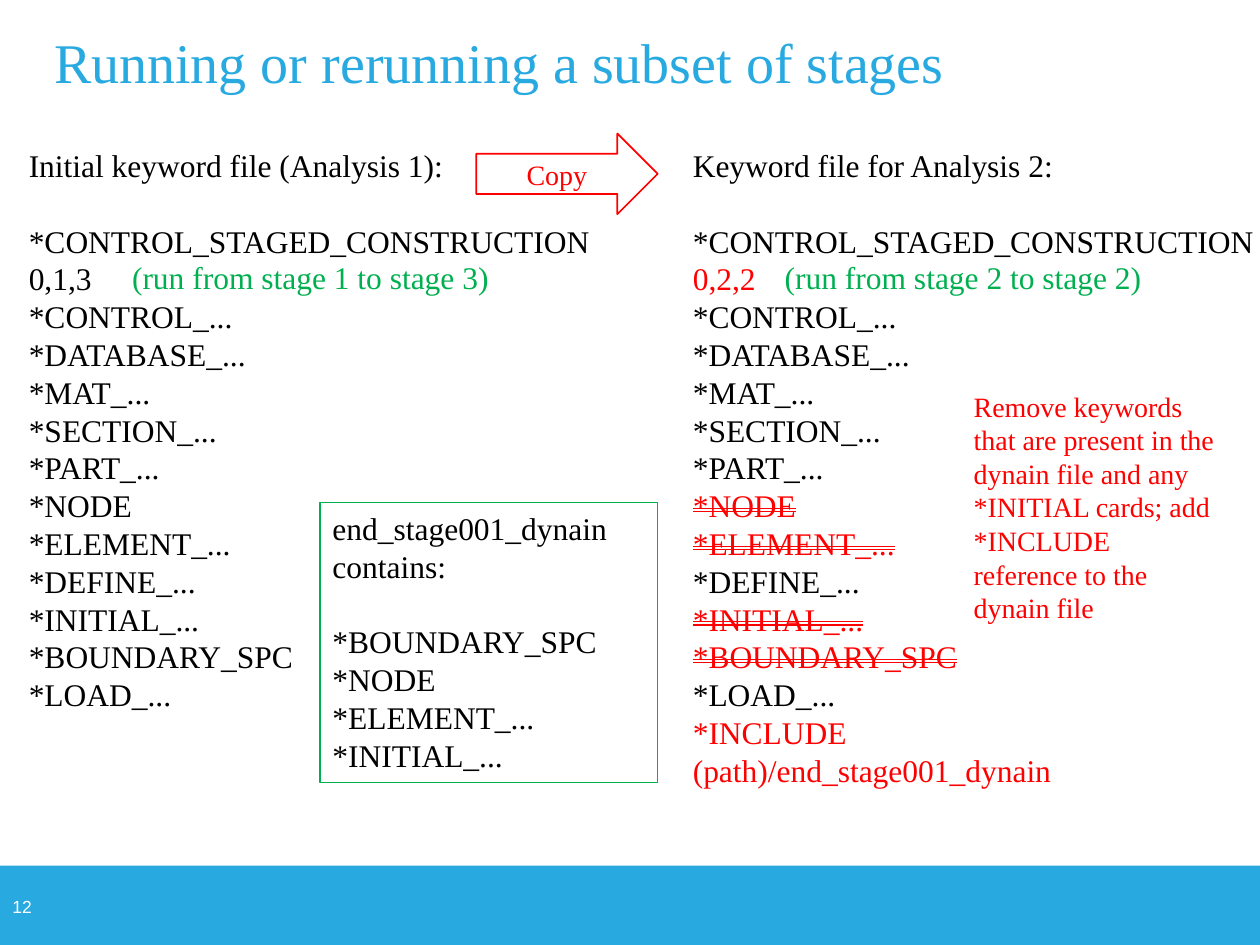
from pptx import Presentation, util as u
from pptx.dml.color import RGBColor
from pptx.enum import shapes, text

# Content: plain, red ("new") and struck ("cut") lines
TITLE = "Running or rerunning a subset of stages"
PAGE = "12"
CARDS = ["*CONTROL_...", "*DATABASE_...", "*MAT_...", "*SECTION_...", "*PART_...",
         "*NODE", "*ELEMENT_...", "*DEFINE_...", "*INITIAL_...",
         "*BOUNDARY_SPC", "*LOAD_..."]
START = "*CONTROL_STAGED_CONSTRUCTION"
FIRST = ["Initial keyword file (Analysis 1):", START, "0,1,3", *CARDS]
SECOND = ["Keyword file for Analysis 2:", START, "0,2,2", *CARDS,
          "*INCLUDE", "(path)/end_stage001_dynain"]
NEW = {"0,2,2", "*INCLUDE", "(path)/end_stage001_dynain"}
CUT = {"*NODE", "*ELEMENT_...", "*INITIAL_...", "*BOUNDARY_SPC"}
DYNAIN = ["end_stage001_dynain contains:", "*BOUNDARY_SPC", "*NODE",
          "*ELEMENT_...", "*INITIAL_..."]
REMOVE = ("Remove keywords that are present in the dynain file and any "
          "*INITIAL cards; add *INCLUDE reference to the dynain file")
RANGES = [(9.5, "(run from stage 1 to stage 3)"),
          (61.3, "(run from stage 2 to stage 2)")]

THEME = {
    "serif": "Times New Roman", "sans": "Arial",
    "blue": "28AAE1", "green": "00B050", "red": "FF0000",
    "black": "000000", "white": "FFFFFF",
    "title": 32, "body": 18, "note": 16, "page": 10, "lead": 1.2,
}

deck = Presentation()
deck.slide_width, deck.slide_height = u.Inches(10), u.Inches(7.5)
slide = deck.slides.add_slide(deck.slide_layouts[6])


def tint(name):
    return RGBColor.from_string(THEME[name])


def place(left, top, width, height):
    """Turn percent shares of the slide into lengths."""
    wide, high = deck.slide_width, deck.slide_height
    return [int(part * side / 100) for part, side in
            zip((left, top, width, height), (wide, high, wide, high))]


def write(shape, lines, size="body", color="black", face="serif", lead=None,
          gap=False, marks=False):
    """Fill a shape with lines; gap leaves one free line after the first."""
    frame = shape.text_frame
    frame.word_wrap = True
    frame.text = "\n".join(lines)
    pitch = u.Pt(lead or THEME[size] * THEME["lead"])
    for par in frame.paragraphs:
        par.line_spacing = pitch
        par.alignment = text.PP_ALIGN.LEFT
        for run in par.runs:
            cut = marks and run.text in CUT
            red = cut or (marks and run.text in NEW)
            run.font.name = THEME[face]
            run.font.size = u.Pt(THEME[size])
            run.font.color.rgb = tint("red" if red else color)
            if cut:
                run.font._element.set("strike", "dblStrike")
    if gap:
        frame.paragraphs[0].space_after = pitch
    return frame


def label(spot, lines, **style):
    return write(slide.shapes.add_textbox(*place(*spot)), lines, **style)


def draw(kind, spot, fill=None, line=None, width=1):
    shape = slide.shapes.add_shape(kind, *place(*spot))
    shape.shadow.inherit = False
    if fill:
        shape.fill.solid()
        shape.fill.fore_color.rgb = tint(fill)
    else:
        shape.fill.background()
    if line:
        shape.line.color.rgb = tint(line)
        shape.line.width = u.Pt(width)
    else:
        shape.line.fill.background()
    return shape


# Footer band and page number
KIND = shapes.MSO_SHAPE
draw(KIND.RECTANGLE, (0, 91.6, 100, 8.4), fill="blue")
label((0, 94.13, 4.3, 3.6), [PAGE], size="page", color="white", face="sans")

# Title
head = label((4.3, 3.73, 90.3, 8.53), [TITLE], size="title", color="blue", lead=34)
head.margin_left = head.margin_right = head.margin_top = head.margin_bottom = 0

# Keyword files and the dynain box
label((1.3, 14.8, 49.1, 61.87), FIRST, gap=True)
box = draw(KIND.RECTANGLE, (25.4, 53.2, 26.8, 29.6), line="green", width=0.75)
write(box, DYNAIN, gap=True).vertical_anchor = text.MSO_ANCHOR.TOP
label((54, 14.8, 49.1, 70), SECOND, gap=True, marks=True)

# Stage ranges
for left, words in RANGES:
    label((left, 26.67, 34.6, 5.33), [words], color="green")

# Copy arrow and removal note
arrow = draw(KIND.RIGHT_ARROW, (37.8, 14.13, 14.4, 8.53), line="red")
frame = write(arrow, ["Copy"], size="note", color="red")
frame.vertical_anchor = text.MSO_ANCHOR.MIDDLE
frame.paragraphs[0].alignment = text.PP_ALIGN.CENTER
label((76.3, 40.53, 21.4, 30.13), [REMOVE], size="note", color="red")

deck.save("out.pptx")
